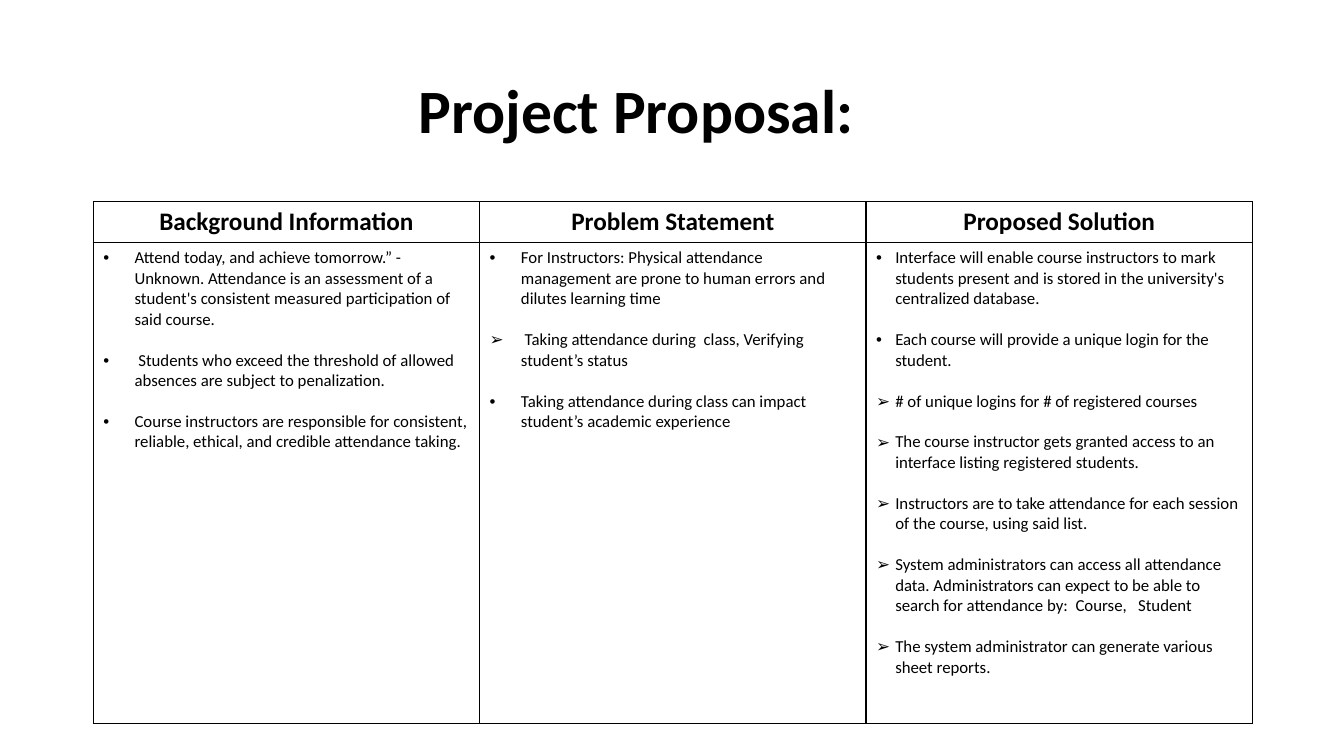
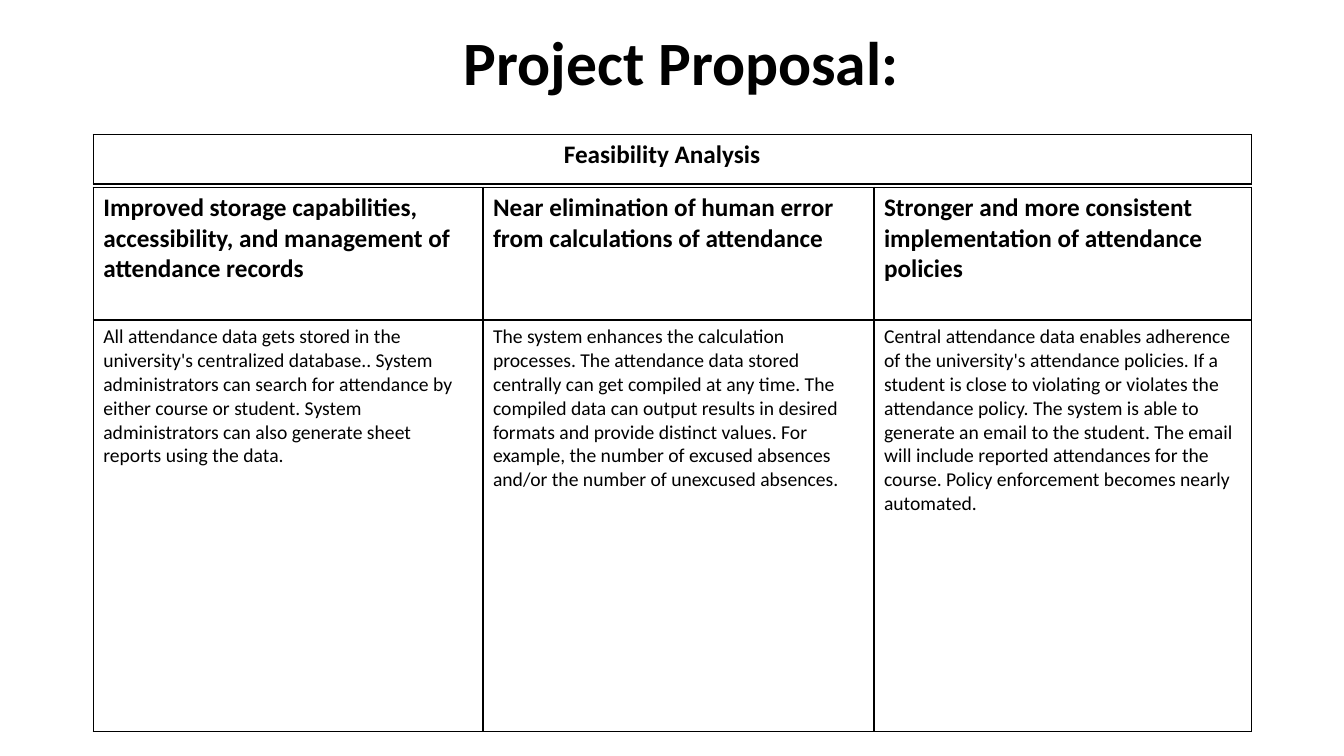
from lxml import etree
from pptx import Presentation
from pptx import util as u
from pptx.dml.color import RGBColor
from pptx.enum import text
from pptx.oxml import ns

COLORS = {"ink": "000000", "paper": "FFFFFF"}
FONT = "Calibri"
COLUMNS, ROWS = 160, 90
SIZES = {"title": 44, "head": 18, "body": 14, "bullet": 12}
DOT, ARROW = "•", "➢"
LEFT = 11.1

BACKGROUND = [
    (DOT, "Attend today, and achieve tomorrow.” - Unknown. Attendance is an assessment of a "
          "student's consistent measured participation of said course."),
    (DOT, " Students who exceed the threshold of allowed absences are subject to penalization."),
    (DOT, "Course instructors are responsible for consistent, reliable, ethical, and credible "
          "attendance taking."),
]
PROBLEM = [
    (DOT, "For Instructors: Physical attendance management are prone to human errors and "
          "dilutes learning time"),
    (ARROW, " Taking attendance during  class, Verifying student’s status"),
    (DOT, "Taking attendance during class can impact student’s academic experience"),
]
SOLUTION = [
    (DOT, "Interface will enable course instructors to mark students present and is stored in "
          "the university's centralized database."),
    (DOT, "Each course will provide a unique login for the student."),
    (ARROW, "# of unique logins for # of registered courses"),
    (ARROW, "The course instructor gets granted access to an interface listing registered "
            "students."),
    (ARROW, "Instructors are to take attendance for each session of the course, using said list."),
    (ARROW, "System administrators can access all attendance data. Administrators can expect to "
            "be able to search for attendance by:  Course,   Student"),
    (ARROW, "The system administrator can generate various sheet reports."),
]
BENEFITS = [
    ("Improved storage capabilities, accessibility, and management of attendance records",
     "All attendance data gets stored in the university's centralized database.. System "
     "administrators can search for attendance by either course or student. System "
     "administrators can also generate sheet reports using the data."),
    ("Near elimination of human error from calculations of attendance",
     "The system enhances the calculation processes. The attendance data stored centrally can "
     "get compiled at any time. The compiled data can output results in desired formats and "
     "provide distinct values. For example, the number of excused absences and/or the number "
     "of unexcused absences."),
    ("Stronger and more consistent implementation of attendance policies",
     "Central attendance data enables adherence of the university's attendance policies. If a "
     "student is close to violating or violates the attendance policy. The system is able to "
     "generate an email to the student. The email will include reported attendances for the "
     "course. Policy enforcement becomes nearly automated."),
]


class Deck:
    def __init__(self):
        self.prs = Presentation()
        self.prs.slide_width, self.prs.slide_height = u.Inches(13.33), u.Inches(7.5)
        self.s = None

    def x(self, columns):
        return round(self.prs.slide_width * columns / COLUMNS)

    def y(self, rows):
        return round(self.prs.slide_height * rows / ROWS)

    def slide(self):
        self.s = self.prs.slides.add_slide(self.prs.slide_layouts[6])

    def style(self, p, size, bold=False):
        for r in p.runs:
            r.font.name, r.font.size, r.font.bold = FONT, u.Pt(SIZES[size]), bold
            r.font.color.rgb = RGBColor.from_string(COLORS["ink"])

    def title(self, words, left, top, width, height, indent):
        sp = self.s.shapes.add_textbox(self.x(left), self.y(top), self.x(width), self.y(height))
        tf = sp.text_frame
        tf.word_wrap = True
        tf.vertical_anchor = text.MSO_ANCHOR.MIDDLE
        tf.margin_left = u.Inches(0.1) + self.x(indent)
        p = tf.paragraphs[0]
        p.text = words
        p.line_spacing = 0.9
        self.style(p, "title", True)

    def table(self, left, top, widths, heights):
        frame = self.s.shapes.add_table(
            len(heights), len(widths), self.x(left), self.y(top),
            self.x(sum(widths)), self.y(sum(heights)))
        table = frame.table
        table.first_row = table.horz_banding = False
        for column, width in zip(table.columns, widths):
            column.width = self.x(width)
        for row, height in zip(table.rows, heights):
            row.height = self.y(height)
        for cell in table.iter_cells():
            self.border(cell)
            cell.fill.solid()
            cell.fill.fore_color.rgb = RGBColor.from_string(COLORS["paper"])
        return table

    def border(self, cell):
        tcPr = cell._tc.get_or_add_tcPr()
        for side in ("a:lnL", "a:lnR", "a:lnT", "a:lnB"):
            ln = etree.SubElement(tcPr, ns.qn(side), w=str(u.Pt(1)))
            fill = etree.SubElement(ln, ns.qn("a:solidFill"))
            etree.SubElement(fill, ns.qn("a:srgbClr"), val=COLORS["ink"])

    def cell(self, cell, words, size, bold=False, align=text.PP_ALIGN.LEFT):
        p = cell.text_frame.paragraphs[0]
        p.text = words
        p.alignment = align
        self.style(p, size, bold)

    def bullets(self, cell, items, indent):
        tf = cell.text_frame
        tf.text = "\n".join(words for _, words in items)
        for p, (mark, _) in zip(tf.paragraphs, items):
            self.style(p, "bullet")
            p.space_after = u.Pt(14.6)
            pPr = p._p.get_or_add_pPr()
            pPr.set("marL", str(u.Inches(indent)))
            pPr.set("indent", str(-u.Inches(indent)))
            etree.SubElement(pPr, ns.qn("a:buFont"), typeface="Arial")
            etree.SubElement(pPr, ns.qn("a:buChar"), char=mark)
        tf.paragraphs[-1].space_after = u.Pt(0)


def proposal(deck):
    deck.slide()
    deck.title("Project Proposal:", LEFT, 4.8, 138, 17.4, 37.5)
    table = deck.table(LEFT, 24, [46] * 3, [4.9, 57.25])
    columns = [("Background Information", BACKGROUND, 0.31),
               ("Problem Statement", PROBLEM, 0.31),
               ("Proposed Solution", SOLUTION, 0.19)]
    for i, (head, items, indent) in enumerate(columns):
        deck.cell(table.cell(0, i), head, "head", True, text.PP_ALIGN.CENTER)
        deck.bullets(table.cell(1, i), items, indent)


def feasibility(deck):
    deck.slide()
    deck.title("Project Proposal:", 42, 3.75, 67.3, 8, 12)
    widths = [46.4, 46.55, 44.9]
    table = deck.table(LEFT, 22.3, widths, [15.8, 49])
    for i, (head, body) in enumerate(BENEFITS):
        deck.cell(table.cell(0, i), head, "head", True)
        deck.cell(table.cell(1, i), body, "body")
    banner = deck.table(LEFT, 16, [sum(widths)], [5.9]).cell(0, 0)
    banner.margin_right = u.Inches(0.3)
    deck.cell(banner, "Feasibility Analysis", "head", True, text.PP_ALIGN.CENTER)


def main():
    deck = Deck()
    proposal(deck)
    feasibility(deck)
    deck.prs.save("out.pptx")


if __name__ == "__main__":
    main()
